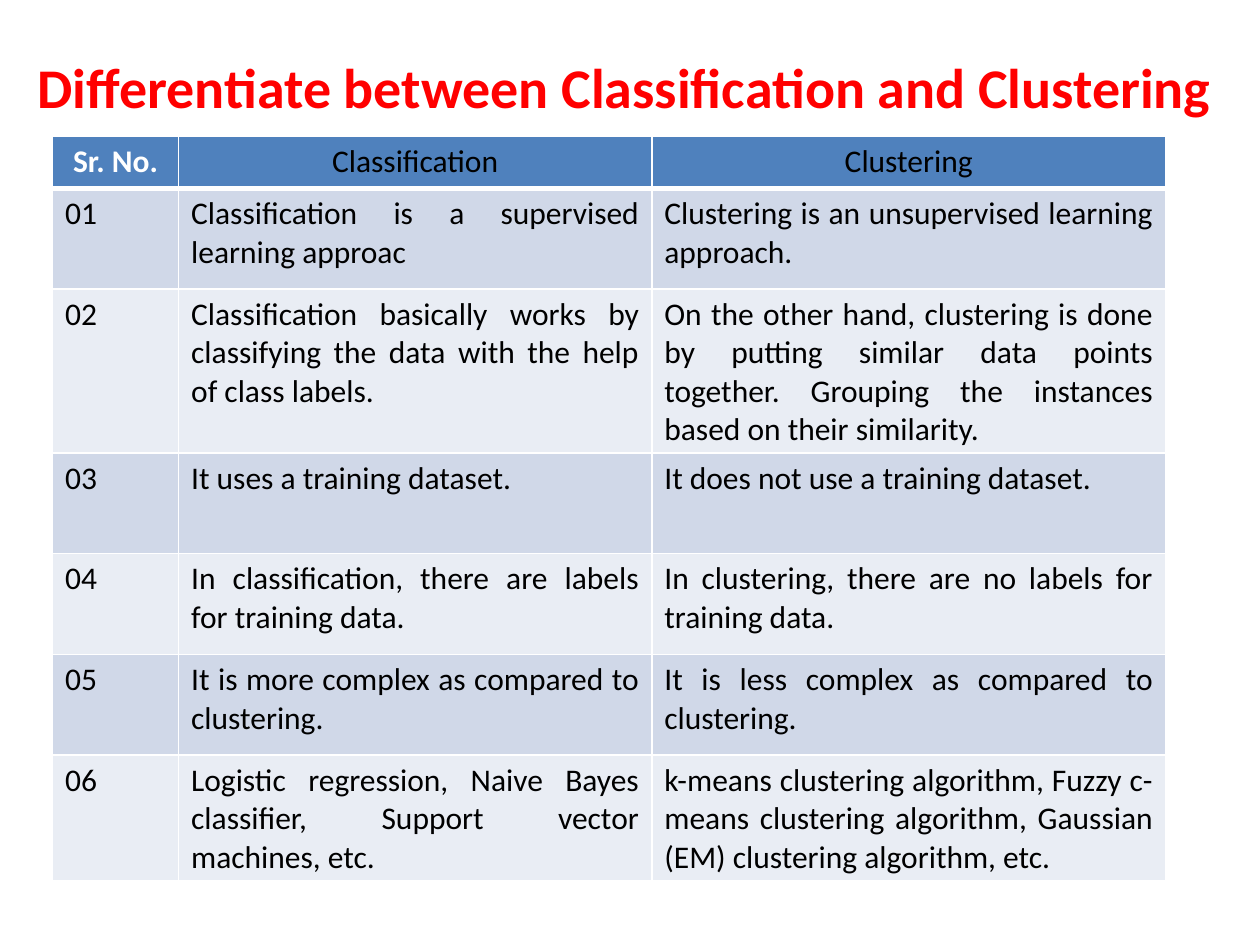
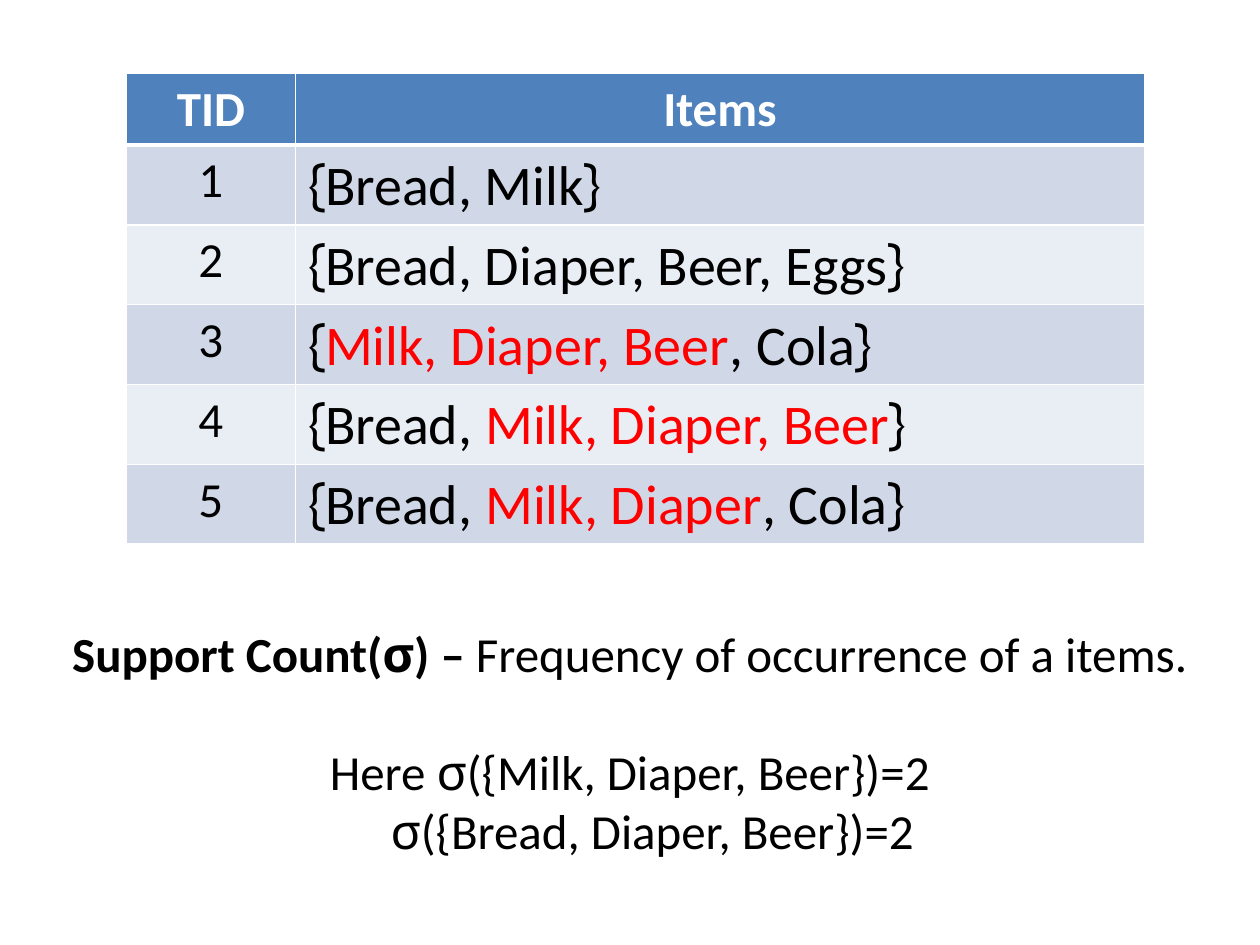
from lxml.etree import SubElement
from pptx import Presentation
from pptx.dml.color import RGBColor
from pptx.enum.text import MSO_ANCHOR, PP_ALIGN as Align
from pptx.oxml.ns import qn
from pptx.util import Cm, Pt

BLACK, WHITE, RED = "000000", "FFFFFF", "FF0000"
HEADER, BANDS = "4F81BD", ("D0D8E8", "E9EDF4")
BODY_FONT, SYMBOL_FONT = "Calibri", "Cabin"


def rgb(color):
    return RGBColor.from_string(color)


def run(text, size, color=BLACK, bold=False, font=BODY_FONT):
    return text, size, color, bold, font


def add_runs(p, runs, align):
    p.alignment = align
    for text, size, color, bold, font in runs:
        r = p.add_run()
        r.text = text
        r.font.size = Pt(size)
        r.font.color.rgb = rgb(color)
        r.font.bold = bold
        r.font.name = font


class Deck:
    def __init__(self):
        self.prs = Presentation()
        self.prs.slide_width, self.prs.slide_height = Cm(25.4), Cm(19.05)
        self.s = None

    def new_slide(self):
        self.s = self.prs.slides.add_slide(self.prs.slide_layouts[6])

    def title(self, left, top, width, height, lines):
        """Add centred text, one paragraph per list of runs."""
        box = self.s.shapes.add_textbox(Cm(left), Cm(top), Cm(width), Cm(height))
        tf = box.text_frame
        tf.word_wrap = True
        tf.vertical_anchor = MSO_ANCHOR.MIDDLE
        for i, runs in enumerate(lines):
            p = tf.add_paragraph() if i else tf.paragraphs[0]
            add_runs(p, runs, Align.CENTER)
        return tf.paragraphs

    def table(self, left, top, widths, heights, rows, aligns):
        """Add a banded table; each cell is a list of runs, the first row is the header."""
        frame = self.s.shapes.add_table(len(rows), len(widths), Cm(left), Cm(top),
                                        Cm(sum(widths)), Cm(sum(heights)))
        table = frame.table
        for column, width in zip(table.columns, widths):
            column.width = Cm(width)
        for i, (row, height) in enumerate(zip(rows, heights)):
            table.rows[i].height = Cm(height)
            for j, runs in enumerate(row):
                cell = table.cell(i, j)
                self.borders(cell, top=3 if i == 1 else 1, bottom=1 if i else 3)
                cell.fill.solid()
                cell.fill.fore_color.rgb = rgb(BANDS[(i - 1) % 2] if i else HEADER)
                add_runs(cell.text_frame.paragraphs[0], runs,
                         aligns[j] if i else Align.CENTER)

    def borders(self, cell, top, bottom):
        tc_pr = cell._tc.get_or_add_tcPr()
        for side, width in (("L", 1), ("R", 1), ("T", top), ("B", bottom)):
            ln = SubElement(tc_pr, qn(f"a:ln{side}"), w=str(Pt(width)))
            fill = SubElement(ln, qn("a:solidFill"))
            SubElement(fill, qn("a:srgbClr"), val=WHITE)


def comparison_slide(deck):
    deck.new_slide()
    deck.title(0.43, 0.43, 24.33, 2.62, [
        [run("Differentiate between Classification and Clustering", 32, RED, True)]])
    differences = [
        ("Classification is a supervised learning approac",
         "Clustering is an unsupervised learning approach."),
        ("Classification basically works by classifying the data with the help of class labels.",
         "On the other hand, clustering is done by putting similar data points together. "
         "Grouping the instances based on their similarity."),
        ("It uses a training dataset.", "It does not use a training dataset."),
        ("In classification, there are labels for training data.",
         "In clustering, there are no labels for training data."),
        ("It is more complex as compared to clustering.",
         "It is less complex as compared to clustering."),
        ("Logistic regression, Naive Bayes classifier, Support vector machines, etc.",
         "k-means clustering algorithm, Fuzzy c-means clustering algorithm, "
         "Gaussian (EM) clustering algorithm, etc."),
    ]
    rows = [[[run("Sr. No.", 18, WHITE, True)],
             [run("Classification", 18)], [run("Clustering", 18)]]]
    for number, pair in enumerate(differences, 1):
        rows.append([[run(text, 18)] for text in (f"{number:02}", *pair)])
    deck.table(1.06, 2.74, [2.54, 9.54, 10.36], [1.06] + [2.03] * len(differences),
               rows, [Align.LEFT, Align.JUSTIFY, Align.JUSTIFY])


def support_count_slide(deck):
    deck.new_slide()
    sigma = run("σ", 28, font=SYMBOL_FONT)
    definition, first_count, second_count = deck.title(0.63, 11.87, 24.13, 6.15, [
        [run("Support Count(", 28, bold=True),
         run("σ", 28, bold=True, font=SYMBOL_FONT),
         run(") –", 28, bold=True),
         run(" Frequency of occurrence of a items.", 28)],
        [run("Here ", 28), sigma, run("({Milk, Diaper, Beer})=2", 28)],
        [sigma, run("({Bread, Diaper, Beer})=2", 28)],
    ])
    first_count.space_before = Pt(34)
    second_count._p.get_or_add_pPr().set("marL", str(Cm(0.9)))

    # Items before, inside and after the highlighted set
    transactions = [
        ("Bread, Milk", "", ""),
        ("Bread, Diaper, Beer, Eggs", "", ""),
        ("", "Milk, Diaper, Beer", ", Cola"),
        ("Bread, ", "Milk, Diaper, Beer", ""),
        ("Bread, ", "Milk, Diaper", ", Cola"),
    ]
    rows = [[[run(text, 28, WHITE, True)] for text in ("TID", "Items")]]
    for tid, parts in enumerate(transactions, 1):
        items = [run(text, 32, color)
                 for text, color in zip(parts, (BLACK, RED, BLACK)) if text]
        rows.append([[run(str(tid), 28)],
                     [run("{", 32, font=SYMBOL_FONT), *items,
                      run("}", 32, font=SYMBOL_FONT)]])
    deck.table(2.54, 1.48, [3.42, 17.11], [1.04] * len(rows), rows,
               [Align.CENTER, Align.LEFT])


def main():
    deck = Deck()
    comparison_slide(deck)
    support_count_slide(deck)
    deck.prs.save("out.pptx")


if __name__ == "__main__":
    main()
